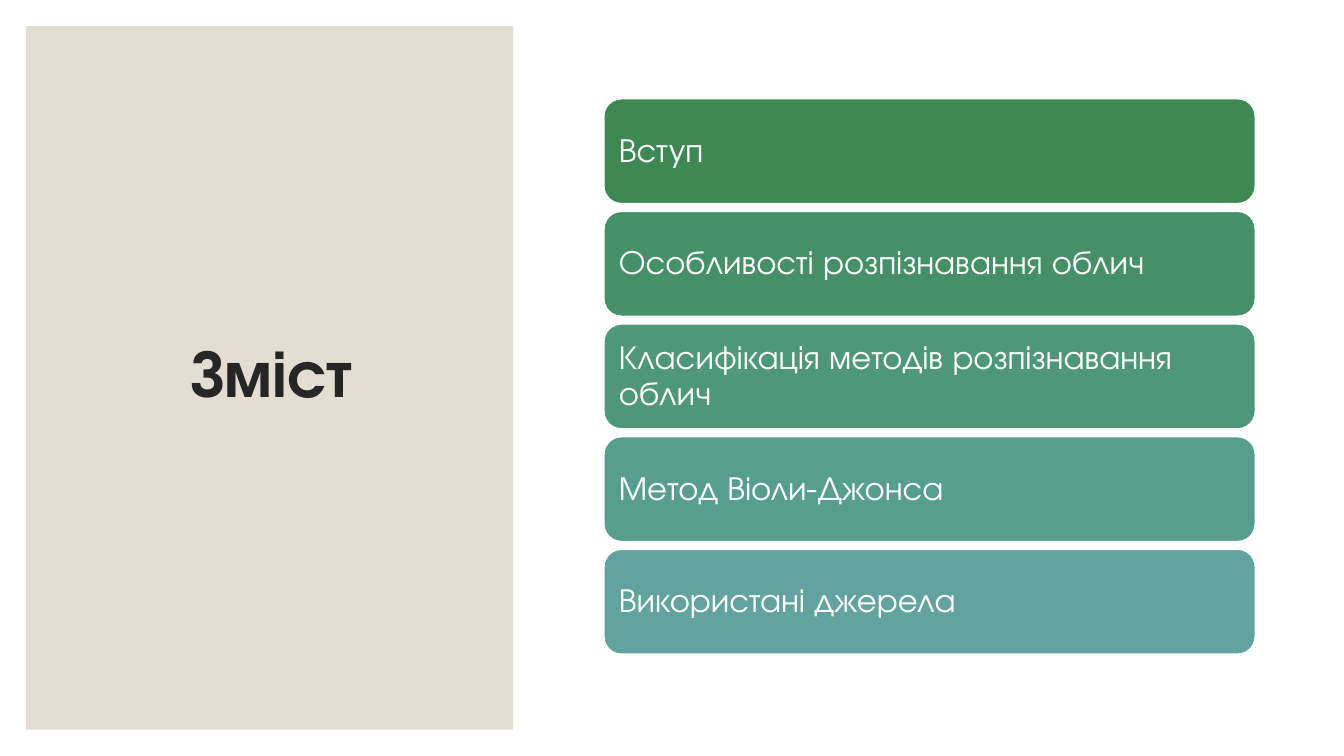
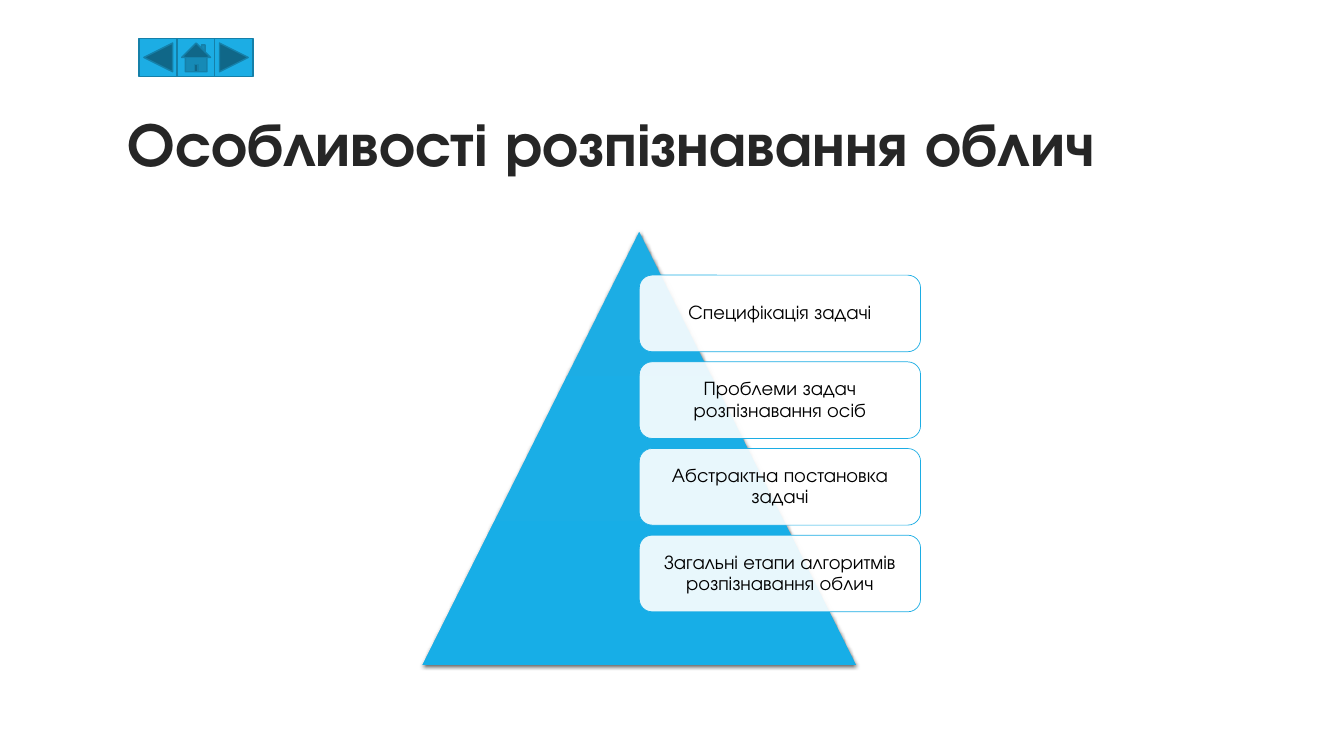
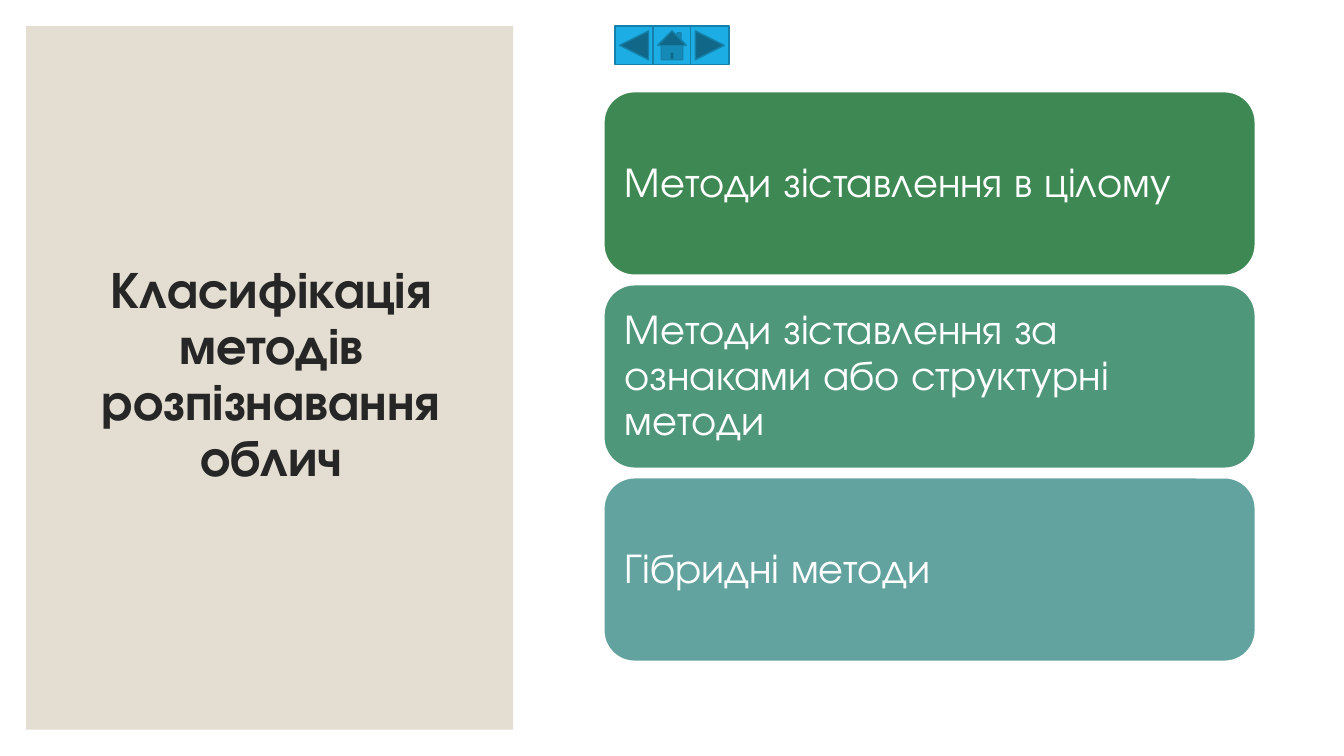
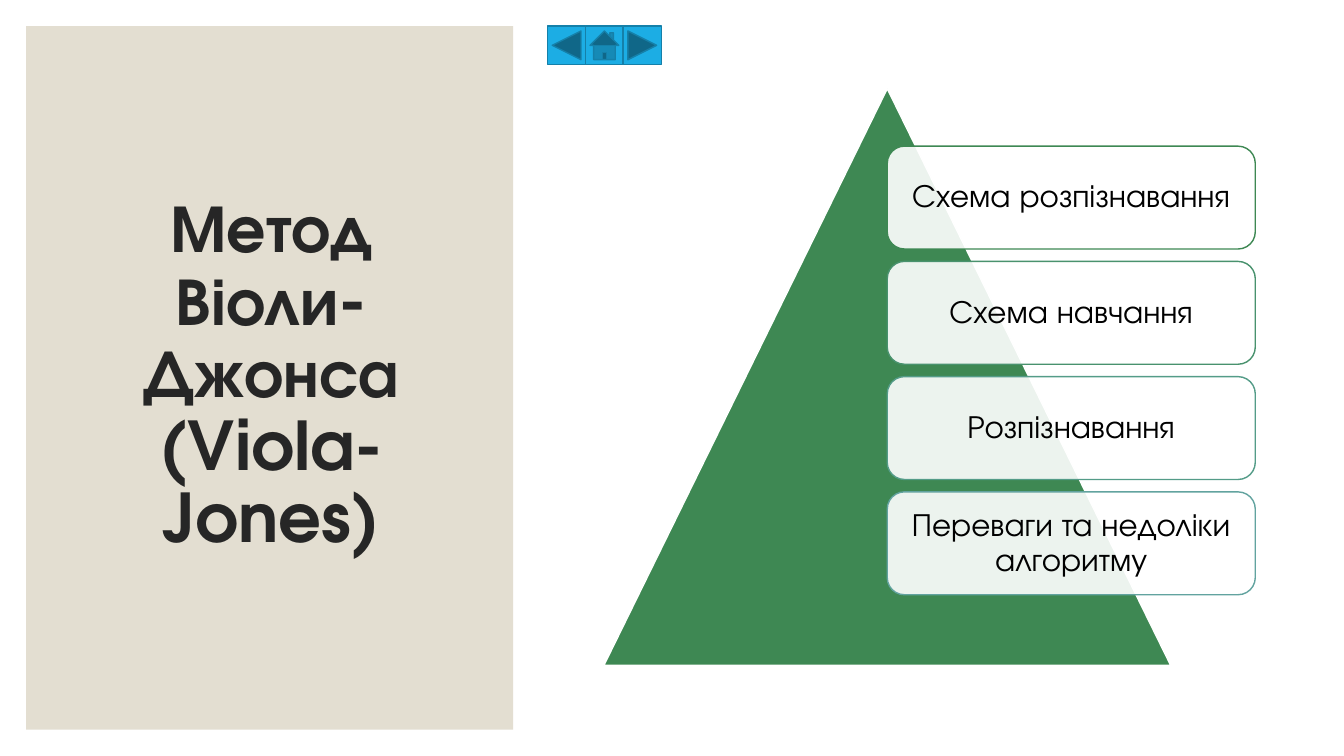
from dataclasses import dataclass

from lxml import etree
from pptx import Presentation
from pptx import util as u
from pptx.dml.color import RGBColor
from pptx.enum import shapes, text
from pptx.oxml.ns import qn

SHAPE = shapes.MSO_SHAPE
EMU_PER_PX = 9144  # 100 px to the inch


@dataclass(frozen=True)
class Theme:
    font: str = "TeX Gyre Adventor"
    white: str = "FFFFFF"
    black: str = "000000"
    title: str = "262626"
    panel: str = "E3DED1"
    blue: str = "1CADE4"
    blue_end: str = "17AEE7"
    blue_dark: str = "1580A9"
    greens: tuple = ("3E8853", "469067", "4E977B", "579E8E", "62A39F")
    outlines: tuple = ("3E8853", "49926E", "549C88", "62A39F")
    title_large: int = 48
    title_wide: int = 44
    title_long: int = 37
    bar_large: int = 30
    bar_small: int = 24
    card_large: int = 23
    card_small: int = 14


THEME = Theme()


def px(length):
    return u.Emu(round(length * EMU_PER_PX))


def spread(start, end, size, count):
    """Start positions of equal items that fill start..end with equal gaps."""
    step = (end - start - size) / (count - 1)
    return [start + index * step for index in range(count)]


def add_box(parent, kind, place, fill, line=None, line_width=1.0):
    box = parent.shapes.add_shape(kind, *map(px, place))
    box.shadow.inherit = False
    box.fill.solid()
    box.fill.fore_color.rgb = RGBColor.from_string(fill)
    if line:
        box.line.color.rgb = RGBColor.from_string(line)
        box.line.width = u.Pt(line_width)
    else:
        box.line.fill.background()
    return box


def set_opacity(box, percent):
    color = box.fill._xPr.find(qn("a:solidFill"))[0]
    etree.SubElement(color, qn("a:alpha"), val=str(percent * 1000))


def add_soft_shadow(box):
    effects = box._element.spPr.find(qn("a:effectLst"))
    shadow = etree.SubElement(
        effects, qn("a:outerShdw"), blurRad=str(u.Pt(3)), dist=str(u.Pt(1)),
        dir="5400000", algn="ctr", rotWithShape="0")
    color = etree.SubElement(shadow, qn("a:srgbClr"), val=THEME.black)
    etree.SubElement(color, qn("a:alpha"), val="63000")


def write(box, words, size, color, align, margins=(10, 5), bold=False):
    frame = box.text_frame
    frame.text = words
    frame.word_wrap = True
    frame.vertical_anchor = text.MSO_ANCHOR.MIDDLE
    frame.margin_left = frame.margin_right = px(margins[0])
    frame.margin_top = frame.margin_bottom = px(margins[1])
    para = frame.paragraphs[0]
    para.alignment = align
    para.line_spacing = 0.9
    font = para.runs[0].font
    font.name, font.size, font.bold = THEME.font, u.Pt(size), bold
    font.color.rgb = RGBColor.from_string(color)


def add_title(page, words, place, size, align):
    box = page.shapes.add_textbox(*map(px, place))
    write(box, words, size, THEME.title, align, bold=True)


def add_side_title(page, words, size):
    add_box(page, SHAPE.RECTANGLE, (26, 26, 483, 698), THEME.panel)
    add_title(page, words, (63, 61, 412, 624), size, text.PP_ALIGN.CENTER)


def add_bars(page, labels, colors, top, bottom, height, size, margin):
    tops = spread(top, bottom, height, len(labels))
    for label, color, bar_top in zip(labels, colors, tops):
        bar = add_box(page, SHAPE.ROUNDED_RECTANGLE, (599, bar_top, 646, height),
                      color, THEME.white)
        write(bar, label, size, THEME.white, text.PP_ALIGN.LEFT, (margin, margin))


def add_cards(page, labels, outlines, place, height, size, margin, line_width):
    """Stack translucent cards inside place (left, top, width, bottom)."""
    left, top, width, bottom = place
    tops = spread(top, bottom, height, len(labels))
    for label, outline, card_top in zip(labels, outlines, tops):
        card = add_box(page, SHAPE.ROUNDED_RECTANGLE, (left, card_top, width, height),
                       THEME.white, outline, line_width)
        set_opacity(card, 90)
        write(card, label, size, THEME.black, text.PP_ALIGN.CENTER, (margin, margin))


def add_navigation(page, left, top):
    group = page.shapes.add_group_shape()
    kinds = (SHAPE.ACTION_BUTTON_BACK_OR_PREVIOUS, SHAPE.ACTION_BUTTON_HOME,
             SHAPE.ACTION_BUTTON_FORWARD_OR_NEXT)
    for kind, button_left in zip(kinds, spread(left, left + 113, 38, len(kinds))):
        add_box(group, kind, (button_left, top, 38, 38), THEME.blue, THEME.blue_dark)


def build_contents(page):
    add_side_title(page, "Зміст", THEME.title_large)
    labels = ("Вступ", "Особливості розпізнавання облич",
              "Класифікація методів розпізнавання облич",
              "Метод Віоли-Джонса", "Використані джерела")
    add_bars(page, labels, THEME.greens, 98, 649, 104, THEME.bar_small, 10)


def build_features(page):
    add_title(page, "Особливості розпізнавання облич", (117, 70, 1100, 150),
              THEME.title_wide, text.PP_ALIGN.LEFT)
    pyramid = add_box(page, SHAPE.ISOSCELES_TRIANGLE, (419, 230, 430, 430), THEME.blue)
    pyramid.fill.gradient()
    pyramid.fill.gradient_angle = 270
    for stop, color in zip(pyramid.fill.gradient_stops, (THEME.blue, THEME.blue_end)):
        stop.color.rgb = RGBColor.from_string(color)
    add_soft_shadow(pyramid)
    labels = ("Специфікація задачі", "Проблеми задач розпізнавання осіб",
              "Абстрактна постановка задачі",
              "Загальні етапи алгоритмів розпізнавання облич")
    add_cards(page, labels, [THEME.blue] * len(labels), (634, 273, 279, 607),
              76, THEME.card_small, 6, 0.5)
    add_navigation(page, 138, 38)


def build_classification(page):
    add_side_title(page, "Класифікація методів розпізнавання облич", THEME.title_long)
    labels = ("Методи зіставлення в цілому",
              "Методи зіставлення за ознаками або структурні методи",
              "Гібридні методи")
    add_bars(page, labels, THEME.greens[::2], 91, 656, 182, THEME.bar_large, 12)
    add_navigation(page, 610, 26)


def build_method(page):
    add_side_title(page, "Метод Віоли-Джонса (Viola-Jones)", THEME.title_large)
    add_box(page, SHAPE.ISOSCELES_TRIANGLE, (599, 88, 562, 572),
            THEME.greens[0], THEME.white)
    labels = ("Схема розпізнавання", "Схема навчання", "Розпізнавання",
              "Переваги та недоліки алгоритму")
    add_cards(page, labels, THEME.outlines, (880, 145, 365, 590),
              102, THEME.card_large, 10, 1)
    add_navigation(page, 543, 26)


def main():
    deck = Presentation()
    deck.slide_width, deck.slide_height = px(1333), px(750)
    blank = deck.slide_layouts[6]
    for build in (build_contents, build_features, build_classification, build_method):
        build(deck.slides.add_slide(blank))
    deck.save("out.pptx")


if __name__ == "__main__":
    main()
